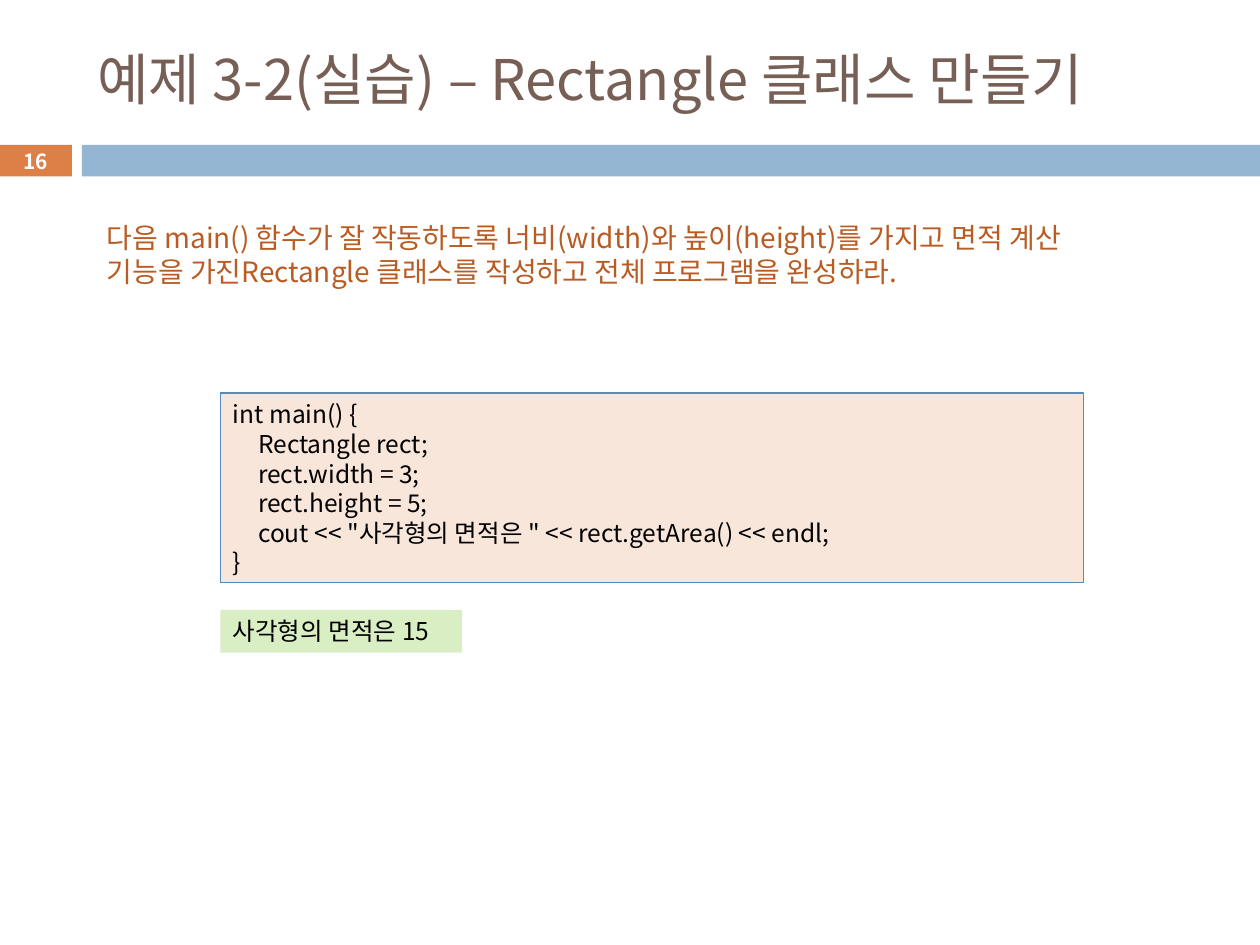
from pptx import Presentation, util as u
from pptx.dml import color
from pptx.enum import shapes, text
from pptx.oxml import xmlchemy
from pptx.oxml.ns import qn

FONT = "Noto Sans CJK KR"
COLUMNS, ROWS = 40, 30
TAB = u.Inches(0.2)
LINE_RATIO = 1.21
CODE = """int main() {
\tRectangle rect;
\trect.width = 3;
\trect.height = 5;
\tcout << "사각형의 면적은 " << rect.getArea() << endl;
}"""
QUESTION = ("다음 main() 함수가 잘 작동하도록 너비(width)와 높이(height)를 가지고 면적 계산 "
            "기능을 가진Rectangle 클래스를 작성하고 전체 프로그램을 완성하라.")


def rgb(value):
    return color.RGBColor.from_string(value)


def grid_box(presentation, left, top, width, height):
    column = presentation.slide_width / COLUMNS
    row = presentation.slide_height / ROWS
    return [int(n) for n in (left * column, top * row, width * column, height * row)]


def add_tab_stop(paragraph):
    properties = paragraph._p.get_or_add_pPr()
    tabs = xmlchemy.OxmlElement("a:tabLst")
    stop = xmlchemy.OxmlElement("a:tab")
    stop.set("pos", str(TAB))
    stop.set("algn", "l")
    tabs.append(stop)
    properties.append(tabs)


def write(shape, content, size, ink, bold=False, align=text.PP_ALIGN.LEFT,
          anchor=text.MSO_ANCHOR.TOP):
    frame = shape.text_frame
    frame_format = {"word_wrap": True, "auto_size": text.MSO_AUTO_SIZE.NONE,
                    "vertical_anchor": anchor}
    for name, value in frame_format.items():
        setattr(frame, name, value)
    frame.text = content
    for paragraph in frame.paragraphs:
        paragraph.alignment = align
        paragraph.line_spacing = u.Pt(round(size * LINE_RATIO, 1))
        if "\t" in content:
            add_tab_stop(paragraph)
        for run in paragraph.runs:
            for name, value in {"name": FONT, "size": u.Pt(size), "bold": bold}.items():
                setattr(run.font, name, value)
            run.font.color.rgb = rgb(ink)
            east_asian = xmlchemy.OxmlElement("a:ea")
            east_asian.set("typeface", FONT)
            run._r.get_or_add_rPr().find(qn("a:latin")).addnext(east_asian)


def add_panel(slide, box, fill, line=None):
    panel = slide.shapes.add_shape(shapes.MSO_SHAPE.RECTANGLE, *box)
    panel.shadow.inherit = False
    panel.fill.solid()
    panel.fill.fore_color.rgb = rgb(fill)
    if line:
        panel.line.color.rgb = rgb(line)
        panel.line.width = u.Pt(0.75)
    else:
        panel.line.fill.background()
    return panel


def add_title(slide, box, content):
    title = slide.shapes.title
    for name, value in zip(("left", "top", "width", "height"), box):
        setattr(title, name, value)
    write(title, content, 32, "775F55", anchor=text.MSO_ANCHOR.MIDDLE)


def add_band(slide, box, number):
    left, top, width, height = box
    tab_width, bar_left = int(width * 0.058), int(width * 0.066)
    add_panel(slide, (left, top, tab_width, height), "DD8047")
    add_panel(slide, (left + bar_left, top, width - bar_left, height), "94B6D2")
    label = slide.shapes.add_textbox(left, top, tab_width, height)
    write(label, number, 11.9, "FFFFFF", bold=True, align=text.PP_ALIGN.CENTER,
          anchor=text.MSO_ANCHOR.MIDDLE)


def add_question(slide, box):
    write(slide.shapes.add_textbox(*box), QUESTION, 16, "B95B22")


def add_listing(slide, box):
    left, top, width, height = box
    code_height = int(height * 0.73)
    output_height = int(height * 0.165)
    code = add_panel(slide, (left, top, width, code_height), "F8E6DA", "558BB8")
    write(code, CODE, 14, "000000")
    output = add_panel(slide, (left, top + height - output_height,
                               int(width * 0.28), output_height), "DAEEC4")
    write(output, "사각형의 면적은 15", 14, "000000")


def main():
    presentation = Presentation()
    presentation.slide_width, presentation.slide_height = u.Inches(10), u.Inches(7.5)
    slide = presentation.slides.add_slide(presentation.slide_layouts[5])
    add_band(slide, grid_box(presentation, -0.04, 4.6, 40.04, 1), "16")
    add_title(slide, grid_box(presentation, 2.68, 1, 35.68, 2.96),
              "예제 3-2(실습) – Rectangle 클래스 만들기")
    add_question(slide, grid_box(presentation, 3, 6.8, 33.4, 2.56))
    add_listing(slide, grid_box(presentation, 7, 12.48, 27.4, 8.24))
    presentation.save("out.pptx")


if __name__ == "__main__":
    main()
